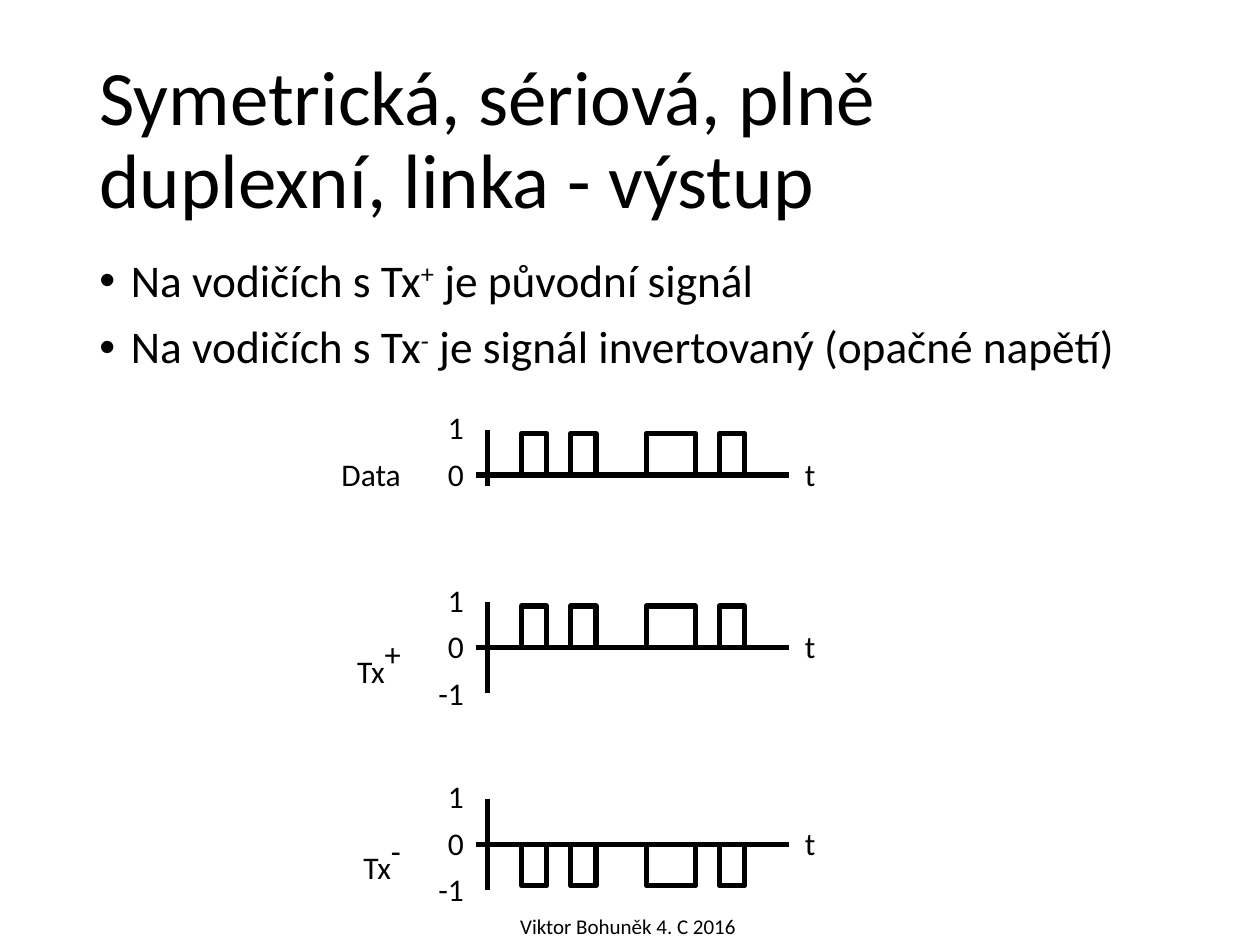
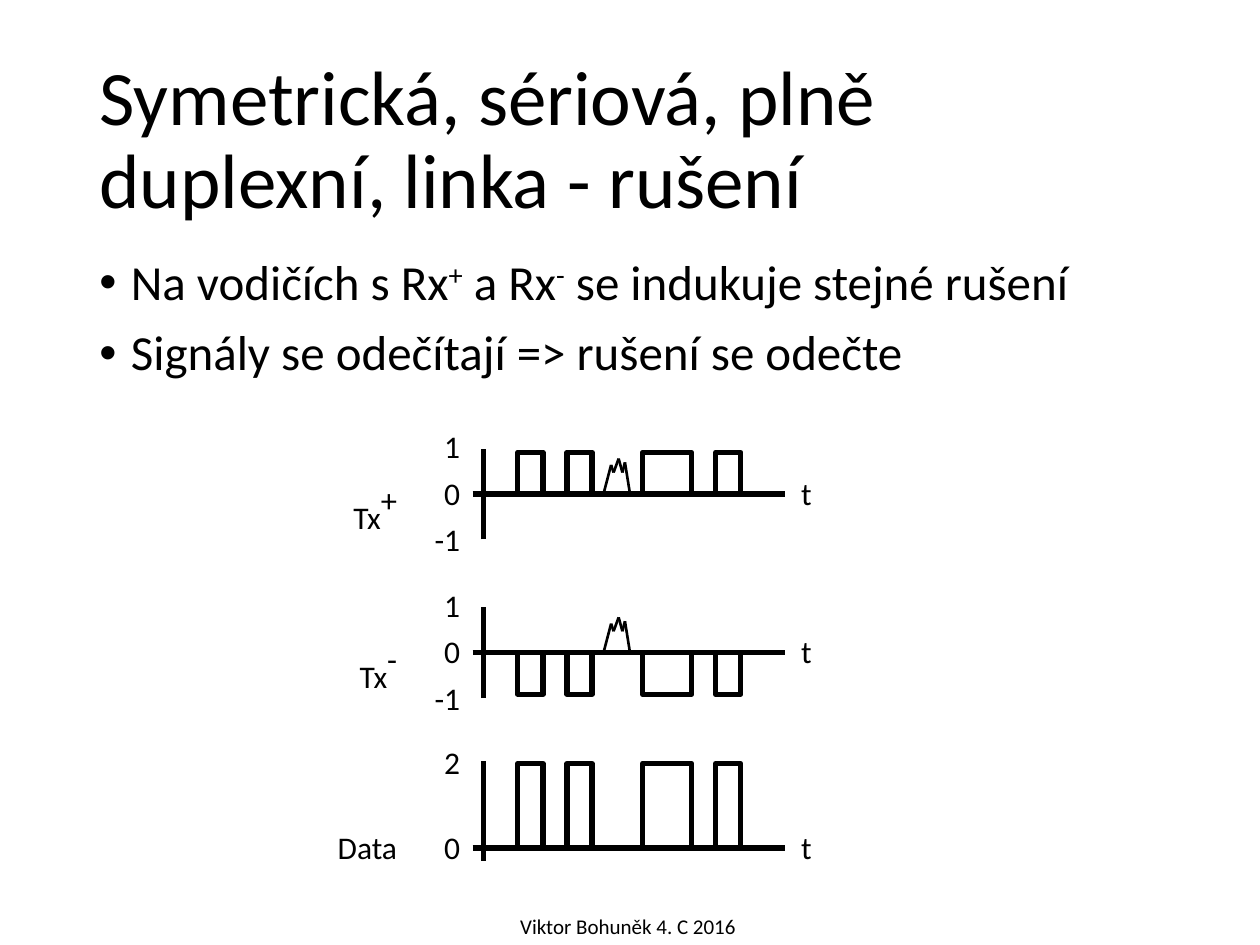
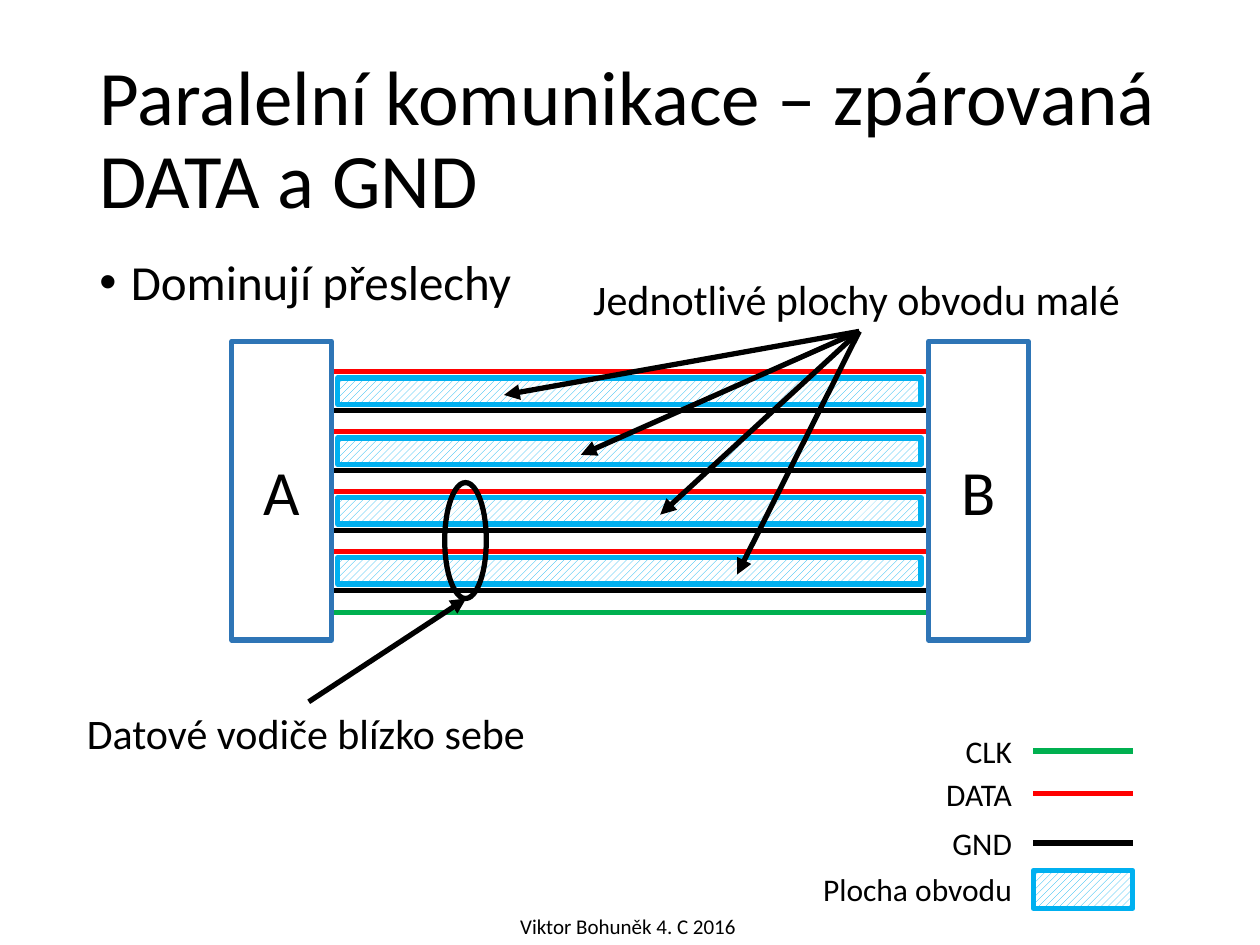
"""Build three slides on symmetric serial links and paired parallel wiring."""
import pptx
import pptx.util
import pptx.dml.color
import pptx.enum.dml
import pptx.enum.shapes
import pptx.enum.text
import lxml.etree

FONT = "Calibri"
COLORS = {"ink": "000000", "paper": "FFFFFF", "data": "FF0000", "clock": "00B050",
          "area": "00B0F0", "device": "2E75B6"}
FOOTER = "Viktor Bohuněk 4. C 2016"
TITLE_BOX = (0.69, 0.4, 8.62, 1.45)
LABEL_WIDTHS = {"Data": 0.68, "Tx|+": 0.57, "Tx|-": 0.51, "-1": 0.41, "t": 0.29}

PULSES = [(0.36, 0.2), (0.75, 0.2), (1.35, 0.39), (1.93, 0.2)]
NOISE = [(0, 0), (0.06, -0.23), (0.08, -0.17), (0.12, -0.28), (0.15, -0.17),
         (0.17, -0.25), (0.21, 0)]
BIPOLAR = {"1": -0.37, "0": 0, "-1": 0.37}
SIGNAL_SLIDES = [
    {"title": "Symetrická, sériová, plně duplexní, linka - výstup",
     "bullets": ["Na vodičích s Tx|+| je původní signál",
                 "Na vodičích s Tx|-| je signál invertovaný (opačné napětí)"],
     "size": 25.9, "height": 1.17, "left": 3.78,
     "signals": [
         {"name": "Data", "zero": 3.77, "pulse": -0.33, "axis": (-0.36, 0.09),
          "levels": {"1": -0.37, "0": 0}},
         {"name": "Tx|+", "zero": 5.14, "pulse": -0.33, "axis": (-0.36, 0.36),
          "levels": BIPOLAR},
         {"name": "Tx|-", "zero": 6.7, "pulse": 0.33, "axis": (-0.36, 0.36),
          "levels": BIPOLAR}]},
    {"title": "Symetrická, sériová, plně duplexní, linka - rušení",
     "bullets": ["Na vodičích s Rx|+| a Rx|-| se indukuje stejné rušení",
                 "Signály se odečítají => rušení se odečte"],
     "size": 28, "height": 1.1, "left": 3.75,
     "signals": [
         {"name": "Tx|+", "zero": 3.92, "pulse": -0.33, "axis": (-0.36, 0.36),
          "levels": BIPOLAR, "noise": True},
         {"name": "Tx|-", "zero": 5.18, "pulse": 0.33, "axis": (-0.36, 0.36),
          "levels": BIPOLAR, "noise": True},
         {"name": "Data", "zero": 6.73, "pulse": -0.67, "axis": (-0.69, 0.1),
          "levels": {"2": -0.67, "0": 0}}]},
]

BUS = {"title": "Paralelní komunikace – zpárovaná DATA a GND",
       "bullets": ["Dominují přeslechy"], "size": 28, "height": 0.55}
DEVICES = [("A", 1.84), ("B", 7.37)]
WIRE_X = (2.54, 7.48)
PAIR_TOP, PAIR_STEP, PAIR_GAP, PAIR_COUNT = 2.95, 0.475, 0.31, 4
NOTES = [("Jednotlivé plochy obvodu malé", (4.61, 2.12, 4.42, 0.5)),
         ("Datové vodiče blízko sebe", (0.59, 5.57, 3.71, 0.5))]
AREA_START, AREA_TIPS_X = (6.82, 2.63), [4, 4.61, 5.24, 5.85]
LEGEND = [("CLK", 5.96, 0.58, "clock"), ("DATA", 6.3, 0.73, "data"),
          ("GND", 6.69, 0.68, "ink"), ("Plocha obvodu", 7.06, 1.72, None)]
LEGEND_X, LEGEND_W = 8.2, 0.79

ALIGN = pptx.enum.text.PP_ALIGN
ANCHOR = pptx.enum.text.MSO_ANCHOR
AUTO = pptx.enum.text.MSO_AUTO_SIZE
SHAPE = pptx.enum.shapes.MSO_SHAPE


def inches(values):
    return [pptx.util.Inches(v) for v in values]


def rgb(name):
    return pptx.dml.color.RGBColor.from_string(COLORS[name])


def assign(obj, values):
    for name, value in values.items():
        setattr(obj, name, value)


def add_xml(parent, tag, **attrs):
    ns = parent.nsmap["a"]
    return lxml.etree.SubElement(parent, f"{{{ns}}}{tag}", attrs)


def write(p, text, size, raised_size=None):
    for i, part in enumerate(text.split("|")):
        r = p.add_run()
        r.text = part
        raised = i % 2
        points = raised_size if raised and raised_size else size
        assign(r.font, {"name": FONT, "size": pptx.util.Pt(points)})
        r.font.color.rgb = rgb("ink")
        if raised:
            r._r.get_or_add_rPr().set("baseline", "30000")


def add_label(s, text, box, size=18, align=ALIGN.LEFT):
    tf = s.shapes.add_textbox(*inches(box)).text_frame
    assign(tf, {"word_wrap": False, "auto_size": AUTO.SHAPE_TO_FIT_TEXT})
    p = tf.paragraphs[0]
    p.alignment = align
    write(p, text, size, 32)


def add_line(shapes, start, end, color="ink", width=3, arrow=False):
    kind = pptx.enum.shapes.MSO_CONNECTOR.STRAIGHT
    line = shapes.add_connector(kind, *inches((*start, *end)))
    line.line.color.rgb = rgb(color)
    line.line.width = pptx.util.Pt(width)
    if arrow:
        add_xml(line.line._get_or_add_ln(), "tailEnd", type="triangle")
    add_xml(line._element.spPr, "effectLst")


def add_box(s, box, color="ink", fill="paper", kind=SHAPE.RECTANGLE):
    sp = s.shapes.add_shape(kind, *inches(box))
    sp.shadow.inherit = False
    sp.line.color.rgb = rgb(color)
    sp.line.width = pptx.util.Pt(3)
    if fill == "hatch":
        sp.fill.patterned()
        sp.fill.pattern = pptx.enum.dml.MSO_PATTERN.WIDE_UPWARD_DIAGONAL
        sp.fill.fore_color.rgb = rgb("area")
        sp.fill.back_color.rgb = rgb("paper")
    elif fill:
        sp.fill.solid()
        sp.fill.fore_color.rgb = rgb(fill)
    else:
        sp.fill.background()
    return sp


def place(sp, box):
    assign(sp, dict(zip(("left", "top", "width", "height"), inches(box))))


def add_slide(prs, content):
    s = prs.slides.add_slide(prs.slide_layouts[5])
    title = s.shapes.title
    place(title, TITLE_BOX)
    tf = title.text_frame
    assign(tf, {"word_wrap": True, "auto_size": AUTO.NONE,
                "vertical_anchor": ANCHOR.MIDDLE})
    p = tf.paragraphs[0]
    assign(p, {"alignment": ALIGN.LEFT, "line_spacing": 0.9})
    write(p, content["title"], 44)

    body = s.shapes.add_textbox(*inches((0.69, 2, 8.62, content["height"])))
    tf = body.text_frame
    tf.word_wrap = True
    indent = pptx.util.Inches(0.25)
    for i, text in enumerate(content["bullets"]):
        p = tf.add_paragraph() if i else tf.paragraphs[0]
        assign(p, {"line_spacing": 0.9, "space_before": pptx.util.Pt(10)})
        pPr = p._p.get_or_add_pPr()
        pPr.set("marL", str(indent))
        pPr.set("indent", str(-indent))
        add_xml(pPr, "buFont", typeface="Arial")
        add_xml(pPr, "buChar", char="•")
        write(p, text, content["size"])
    add_label(s, FOOTER, (4.03, 7.2, 1.93, 0.3), 12)
    return s


def add_signal(s, left, signal):
    zero, pulse = signal["zero"], signal["pulse"]
    for x, width in PULSES:
        add_box(s, (left + x, zero + min(pulse, 0), width, abs(pulse)))
    add_line(s.shapes, (left, zero), (left + 2.48, zero))
    top, bottom = signal["axis"]
    add_line(s.shapes, (left + 0.09, zero + bottom), (left + 0.09, zero + top))

    row = zero - 0.21
    add_label(s, "t", (left + 2.51, row, LABEL_WIDTHS["t"], 0.4))
    for text, dy in signal["levels"].items():
        width = LABEL_WIDTHS.get(text, 0.33)
        add_label(s, text, (left - width, row + dy, width, 0.4), align=ALIGN.RIGHT)
    name = signal["name"]
    width = LABEL_WIDTHS[name]
    height = 0.46 if "|" in name else 0.4
    add_label(s, name, (left - 0.5 - width, row, width, height), align=ALIGN.RIGHT)

    if signal.get("noise"):
        group = s.shapes.add_group_shape()
        points = [(left + 1.04 + x, zero + y) for x, y in NOISE]
        for start, end in zip(points, points[1:]):
            add_line(group.shapes, start, end, width=1.5)


def add_bus(s):
    x1, x2 = WIRE_X
    tops = [PAIR_TOP + i * PAIR_STEP for i in range(PAIR_COUNT)]
    wires = [(4.86, "clock")]
    for y in tops:
        wires += [(y, "data"), (y + PAIR_GAP, "ink")]
    for y, color in wires:
        add_line(s.shapes, (x1, y), (x2, y), color)
    for y in tops:
        add_box(s, (2.68, y + 0.05, 4.63, 0.21), "area", "hatch")
    for text, x in DEVICES:
        sp = add_box(s, (x, 2.71, 0.79, 2.37), "device")
        sp.text_frame.vertical_anchor = ANCHOR.MIDDLE
        p = sp.text_frame.paragraphs[0]
        p.alignment = ALIGN.CENTER
        write(p, text, 36)
    for x, y in zip(AREA_TIPS_X, tops):
        add_line(s.shapes, AREA_START, (x, y + 0.185), arrow=True)
    add_box(s, (3.53, 3.83, 0.33, 0.92), fill=None, kind=SHAPE.OVAL)
    add_line(s.shapes, (2.45, 5.57), (3.7, 4.75), arrow=True)
    for text, box in NOTES:
        add_label(s, text, box, 24)


def add_legend(s):
    for text, y, width, color in LEGEND:
        add_label(s, text, (8.13 - width, y - 0.2, width, 0.4), align=ALIGN.RIGHT)
        if color:
            add_line(s.shapes, (LEGEND_X, y), (LEGEND_X + LEGEND_W, y), color)
        else:
            add_box(s, (LEGEND_X, y - 0.15, LEGEND_W, 0.3), "area", "hatch")


prs = pptx.Presentation()
assign(prs, {"slide_width": pptx.util.Inches(10), "slide_height": pptx.util.Inches(7.5)})
for content in SIGNAL_SLIDES:
    s = add_slide(prs, content)
    for signal in content["signals"]:
        add_signal(s, content["left"], signal)
s = add_slide(prs, BUS)
add_bus(s)
add_legend(s)
prs.save("out.pptx")
